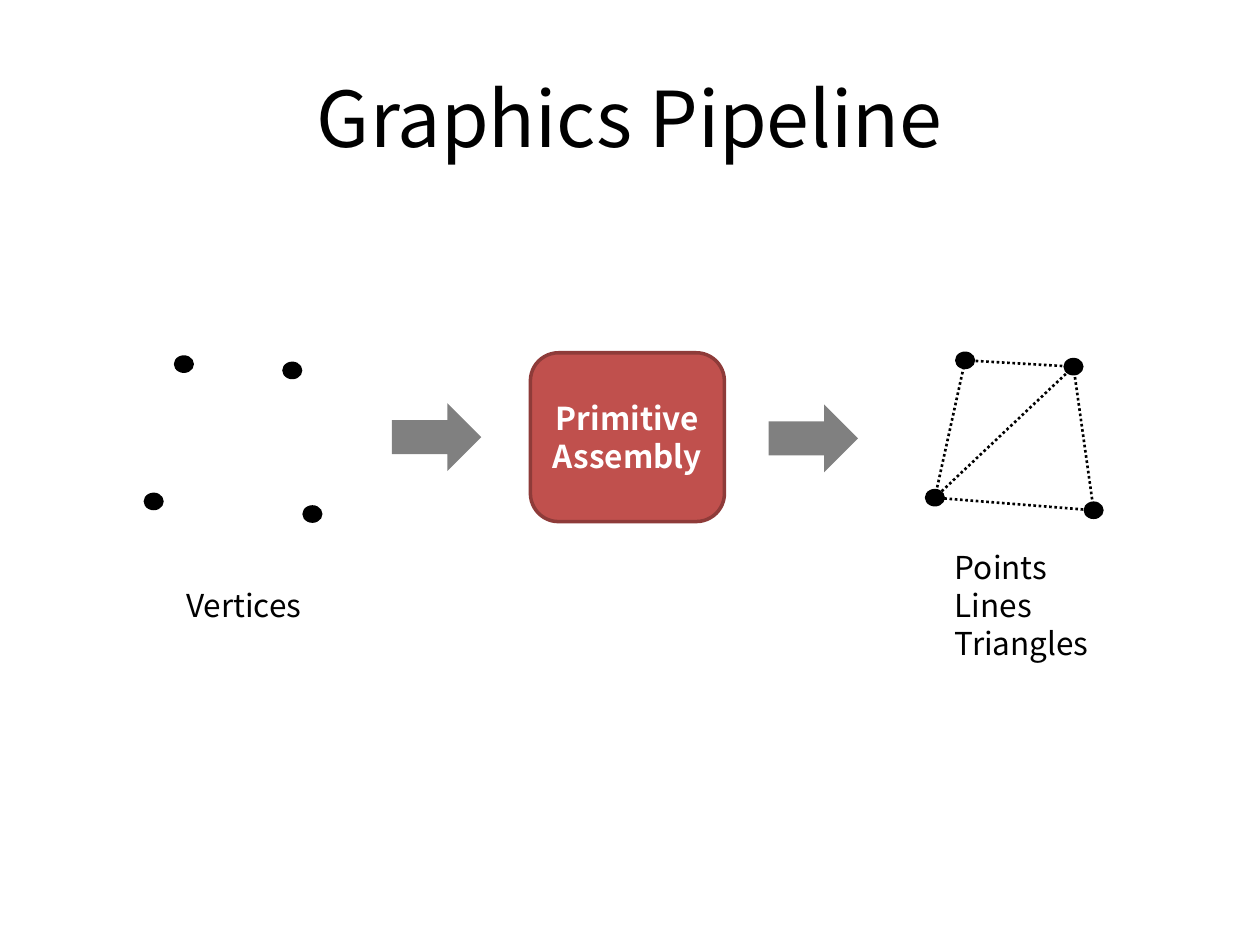
from lxml import etree
from pptx import Presentation
from pptx.dml.color import RGBColor
from pptx.enum.dml import MSO_LINE
from pptx.enum.shapes import MSO_CONNECTOR, MSO_SHAPE
from pptx.enum.text import MSO_ANCHOR, PP_ALIGN
from pptx.oxml.ns import qn
from pptx.util import Pt

PX = 9144  # EMU per px, 100 px to the inch
FONT = "Noto Sans CJK KR"
COLORS = {"black": "000000", "white": "FFFFFF", "gray": "808080",
          "red": "C0504D", "dark_red": "8E3B39"}
DOT, ARROW = MSO_SHAPE.FLOWCHART_CONNECTOR, MSO_SHAPE.RIGHT_ARROW
ROUNDED, STRAIGHT = MSO_SHAPE.ROUNDED_RECTANGLE, MSO_CONNECTOR.STRAIGHT
LEFT, CENTER = PP_ALIGN.LEFT, PP_ALIGN.CENTER
TOP, MIDDLE = MSO_ANCHOR.TOP, MSO_ANCHOR.MIDDLE
DOTTED = MSO_LINE.ROUND_DOT  # sysDot

prs = Presentation()
prs.slide_width, prs.slide_height = 1000 * PX, 750 * PX
s = prs.slides.add_slide(prs.slide_layouts[6])


def add_filled(kind, x, y, w, h, color):
    sp = s.shapes.add_shape(kind, x * PX, y * PX, w * PX, h * PX)
    sp.shadow.inherit = False
    sp.fill.solid()
    sp.fill.fore_color.rgb = RGBColor.from_string(COLORS[color])
    sp.line.fill.background()
    return sp


def write(sp, lines, size, color, align, anchor, bold=False, spacing=None):
    """Fill a shape with one paragraph per line; spacing is in points."""
    tf = sp.text_frame
    tf.word_wrap = True
    tf.vertical_anchor = anchor
    for i, line in enumerate(lines):
        p = tf.paragraphs[0] if i == 0 else tf.add_paragraph()
        p.alignment = align
        if spacing:
            p.line_spacing = Pt(spacing)
        r = p.add_run()
        r.text = line
        r.font.name = FONT
        r.font.size = Pt(size)
        r.font.bold = bold
        r.font.color.rgb = RGBColor.from_string(COLORS[color])
        ea = etree.SubElement(r.font._element, qn("a:ea"))
        ea.set("typeface", FONT)


title = s.shapes.add_textbox(50 * PX, 30 * PX, 900 * PX, 125 * PX)
write(title, ["Graphics Pipeline"], 44, "black", CENTER, MIDDLE)

for x, y in ((311, 320), (610, 321)):
    add_filled(ARROW, x, y, 71, 54, "gray")

stage = add_filled(ROUNDED, 421, 280, 154, 134, "red")
stage.line.color.rgb = RGBColor.from_string(COLORS["dark_red"])
stage.line.width = Pt(2)
write(stage, ["Primitive Assembly"], 18, "white", CENTER, MIDDLE,
      bold=True, spacing=21.6)

# Vertex centres: top left, top right, bottom right, bottom left
vertices = [(146, 289), (232, 294), (248, 408), (122, 398)]
assembled = [(x + 620, y - 3) for x, y in vertices]

for a, b in ((3, 0), (0, 1), (1, 2), (2, 3), (1, 3)):
    (x1, y1), (x2, y2) = assembled[a], assembled[b]
    edge = s.shapes.add_connector(STRAIGHT, x1 * PX, y1 * PX, x2 * PX, y2 * PX)
    edge.line.color.rgb = RGBColor.from_string(COLORS["black"])
    edge.line.width = Pt(1.5)
    edge.line.dash_style = DOTTED
    etree.SubElement(edge._element.spPr, qn("a:effectLst"))

for x, y in vertices + assembled:
    add_filled(DOT, x - 8, y - 7, 16, 14, "black")

for x, y, w, h, lines in (
    (138, 460, 118, 40, ["Vertices"]),
    (748, 430, 152, 101, ["Points", "Lines", "Triangles"]),
):
    label = s.shapes.add_textbox(x * PX, y * PX, w * PX, h * PX)
    write(label, lines, 18, "black", LEFT, TOP, spacing=21.6)

prs.save("out.pptx")
